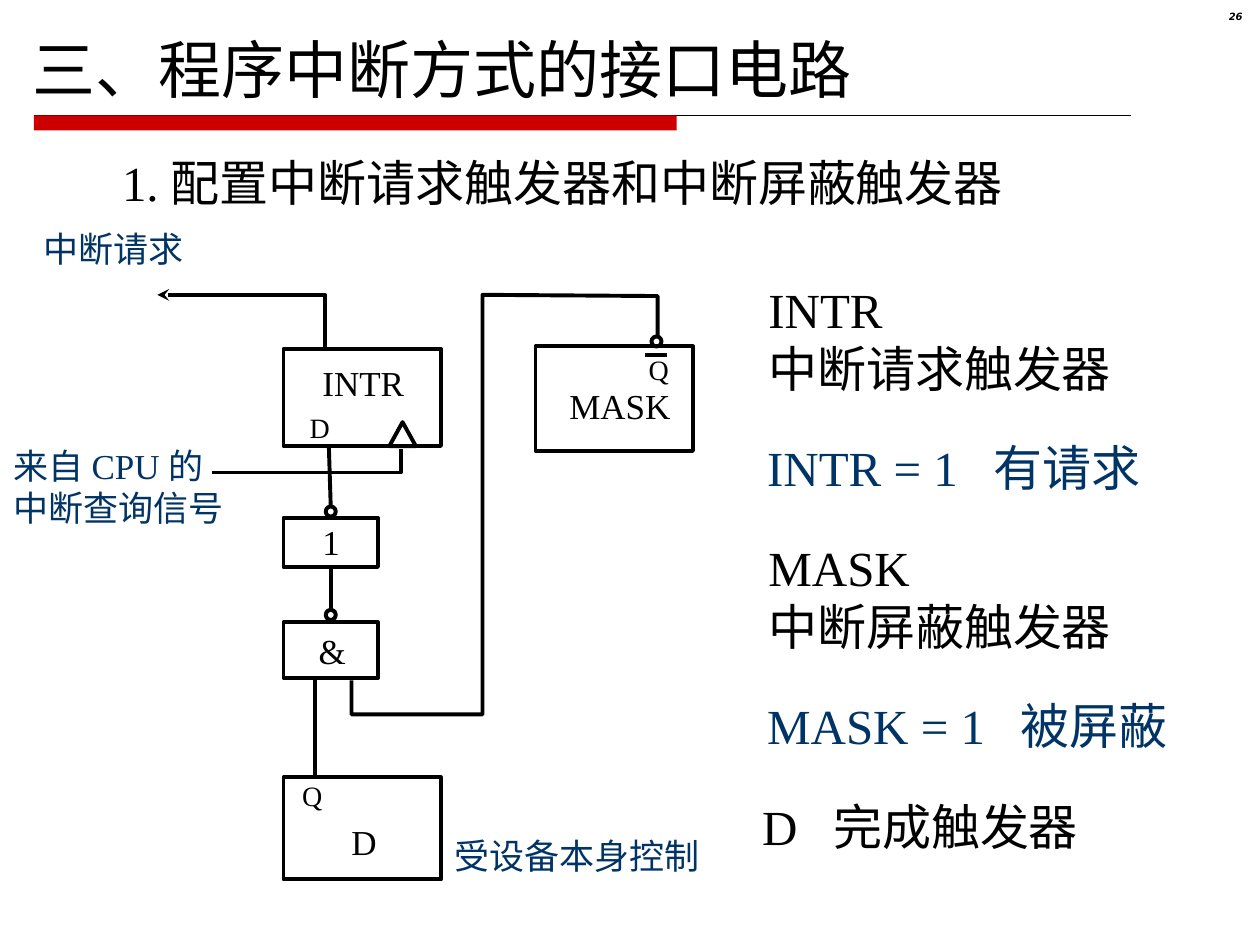
"""Build a slide on the interface circuit of the program interrupt mode."""
from dataclasses import dataclass
from typing import Any, Optional

import lxml.etree
import pptx
import pptx.dml.color
import pptx.enum.shapes
import pptx.enum.text
import pptx.oxml.ns
import pptx.util

CELL = 0.25
COLS, ROWS = 40, 30
SHAPE = pptx.enum.shapes.MSO_SHAPE
ALIGN = pptx.enum.text.PP_ALIGN
qn = pptx.oxml.ns.qn


@dataclass(frozen=True)
class Theme:
    ink: str = "000000"
    note: str = "003366"
    accent: str = "CC0000"
    font: str = "Times New Roman"
    number_font: str = "DejaVu Sans"
    title: float = 36
    body: float = 28
    label: float = 20
    pin: float = 16
    number: float = 5.7
    wire: float = 2.25
    rule: float = 0.75


@dataclass(frozen=True)
class Label:
    text: str
    col: float
    row: float
    cols: float
    rows: float
    size: float
    color: str = Theme.ink
    tab: Optional[float] = None


@dataclass(frozen=True)
class Part:
    name: str
    kind: Any
    col: float
    row: float
    cols: float
    rows: float


@dataclass(frozen=True)
class Wire:
    points: tuple
    arrow: bool = False


T = Theme()
BUBBLE = 0.32
MID = 10.5

PARTS = (
    Part("done", SHAPE.RECTANGLE, 9, 24.68, 5, 3.24),
    Part("and", SHAPE.RECTANGLE, 9, 19.76, 3, 1.76),
    Part("and bubble", SHAPE.OVAL, MID - BUBBLE / 2, 19.36, BUBBLE, BUBBLE),
    Part("not", SHAPE.RECTANGLE, 9, 16.44, 3, 1.56),
    Part("not bubble", SHAPE.OVAL, MID - BUBBLE / 2, 16.08, BUBBLE, BUBBLE),
    Part("intr", SHAPE.RECTANGLE, 9, 11.08, 5, 3.08),
    Part("clock", SHAPE.ISOSCELES_TRIANGLE, 12.36, 13.4, 0.84, 0.76),
    Part("mask", SHAPE.RECTANGLE, 17, 11, 5, 3.32),
    Part("mask bubble", SHAPE.OVAL, 20.68, 10.68, BUBBLE, BUBBLE),
)

WIRES = (
    Wire(((6.72, 15), (12.72, 15), (12.72, 14.24))),
    Wire(((11.16, 21.6), (11.16, 22.68), (15.32, 22.68),
          (15.32, 9.36), (20.88, 9.4), (20.88, 10.72))),
    Wire(((10.32, 11.04), (10.32, 9.36), (5, 9.36)), arrow=True),
)

LABELS = (
    Label("1. 配置中断请求触发器和中断屏蔽触发器", 3.48, 4.64, 29.12, 2.28, T.body),
    Label("D", 10.76, 25.84, 1.6, 1.76, T.label),
    Label("Q", 9.2, 24.52, 1.44, 1.48, T.pin),
    Label("&", 9.72, 19.8, 1.64, 1.76, T.label),
    Label("1", 9.84, 16.32, 1.36, 1.76, T.label),
    Label("INTR", 9.84, 11.28, 3.4, 1.76, T.label),
    Label("D", 9.44, 12.84, 1.44, 1.48, T.pin),
    Label("MASK", 17.68, 12, 4.28, 1.76, T.label),
    Label("Q", 20.2, 11, 1.44, 1.48, T.pin),
    Label("INTR\n中断请求触发器", 24, 8.68, 11.68, 4.16, T.body),
    Label("INTR = 1\t有请求", 23.96, 13.68, 14.72, 2.28, T.body, T.note, 7.18),
    Label("MASK\n中断屏蔽触发器", 24, 16.88, 11.68, 4.16, T.body),
    Label("MASK = 1\t被屏蔽", 23.96, 21.88, 14.72, 2.28, T.body, T.note, 8.05),
    Label("D\t完成触发器", 23.8, 25.08, 11.2, 2.28, T.body, T.ink, 2.26),
    Label("来自 CPU 的\n中断查询信号", 0.04, 13.92, 7.48, 3.08, T.label, T.note),
    Label("受设备本身控制", 14.04, 26.28, 8.6, 1.76, T.label, T.note),
    Label("中断请求", 1, 7.04, 5.32, 1.76, T.label, T.note),
)


def grid(*cells: float) -> list:
    """Turn counts of grid cells into lengths."""
    return [pptx.util.Inches(cell * CELL) for cell in cells]


def rgb(color: str) -> pptx.dml.color.RGBColor:
    """Read a colour of the theme."""
    return pptx.dml.color.RGBColor.from_string(color)


def stroke(sp: Any, width: float = T.wire) -> None:
    """Give a shape or connector a plain ink line."""
    sp.line.color.rgb = rgb(T.ink)
    sp.line.width = pptx.util.Pt(width)


def put_text(sp: Any, text: str, *, size: float, color: str = T.ink, font: str = T.font,
             bold: bool = False, italic: bool = False, align: Any = ALIGN.LEFT,
             spacing: Optional[float] = None, tab: Optional[float] = None) -> None:
    """Write one paragraph per line of text in the given format."""
    tf = sp.text_frame
    tf.word_wrap = tab is not None
    tf.auto_size = pptx.enum.text.MSO_AUTO_SIZE.SHAPE_TO_FIT_TEXT
    tf.vertical_anchor = pptx.enum.text.MSO_ANCHOR.TOP
    for i, line in enumerate(text.split("\n")):
        p = tf.add_paragraph() if i else tf.paragraphs[0]
        p.alignment = align
        if spacing:
            p.line_spacing = spacing
        if tab is not None:
            tabs = lxml.etree.SubElement(p._p.get_or_add_pPr(), qn("a:tabLst"))
            lxml.etree.SubElement(tabs, qn("a:tab"), pos=str(grid(tab)[0]), algn="l")
        r = p.add_run()
        r.text = line
        r.font.size = pptx.util.Pt(size)
        r.font.name = font
        r.font.bold, r.font.italic = bold, italic
        r.font.color.rgb = rgb(color)


def add_part(s: Any, part: Part) -> Any:
    """Draw an outlined part of the circuit."""
    sp = s.shapes.add_shape(part.kind, *grid(part.col, part.row, part.cols, part.rows))
    sp.shadow.inherit = False
    sp.fill.background()
    stroke(sp)
    return sp


def add_line(s: Any, start: tuple, end: tuple, width: float = T.wire) -> Any:
    """Draw a straight line between two grid points."""
    cx = s.shapes.add_connector(pptx.enum.shapes.MSO_CONNECTOR.STRAIGHT, *grid(*start, *end))
    stroke(cx, width)
    lxml.etree.SubElement(cx._element.spPr, qn("a:effectLst"))
    return cx


def add_wire(s: Any, wire: Wire) -> None:
    """Draw a bent wire through its grid points."""
    first, *rest = [tuple(grid(*point)) for point in wire.points]
    builder = s.shapes.build_freeform(*first)
    builder.add_line_segments(rest, close=False)
    sp = builder.convert_to_shape()
    sp.shadow.inherit = False
    sp.fill.background()
    stroke(sp)
    if wire.arrow:
        lxml.etree.SubElement(sp.line._get_or_add_ln(), qn("a:tailEnd"), type="stealth")


def add_heading(s: Any) -> None:
    """Set the title, the bar beneath it and the slide number."""
    title = s.shapes.title
    title.left, title.top, title.width, title.height = grid(0.64, 0.76, 30, 2.8)
    put_text(title, "三、程序中断方式的接口电路", size=T.title)
    title.text_frame.word_wrap = True
    add_line(s, (1.08, 3.66), (35.9, 3.66), T.rule)
    bar = s.shapes.add_shape(SHAPE.RECTANGLE, *grid(1.08, 3.66, 20.4, 0.48))
    bar.shadow.inherit = False
    bar.fill.solid()
    bar.fill.fore_color.rgb = rgb(T.accent)
    bar.line.fill.background()
    number = s.shapes.add_textbox(*grid(37.48, 0.2, 2.36, 0.92))
    put_text(number, "26", size=T.number, font=T.number_font, bold=True, italic=True,
             align=ALIGN.RIGHT, spacing=0.8)
    number.text_frame.word_wrap = True


def main() -> None:
    """Assemble and save the slide."""
    prs = pptx.Presentation()
    prs.slide_width, prs.slide_height = grid(COLS, ROWS)
    s = prs.slides.add_slide(prs.slide_layouts[5])
    add_heading(s)
    parts = {part.name: add_part(s, part) for part in PARTS}
    for wire in WIRES:
        add_wire(s, wire)
    add_line(s, (10, 21.56), (10, 24.68))
    add_line(s, (20.48, 11.28), (21.16, 11.28))
    add_line(s, (10.44, 14.16), (MID, 16.08)).end_connect(parts["not bubble"], 0)
    link = add_line(s, (MID, 18), (MID, 19.36))
    link.begin_connect(parts["not"], 2)
    link.end_connect(parts["and bubble"], 0)
    for label in LABELS:
        sp = s.shapes.add_textbox(*grid(label.col, label.row, label.cols, label.rows))
        put_text(sp, label.text, size=label.size, color=label.color, tab=label.tab)
    prs.save("out.pptx")


if __name__ == "__main__":
    main()
